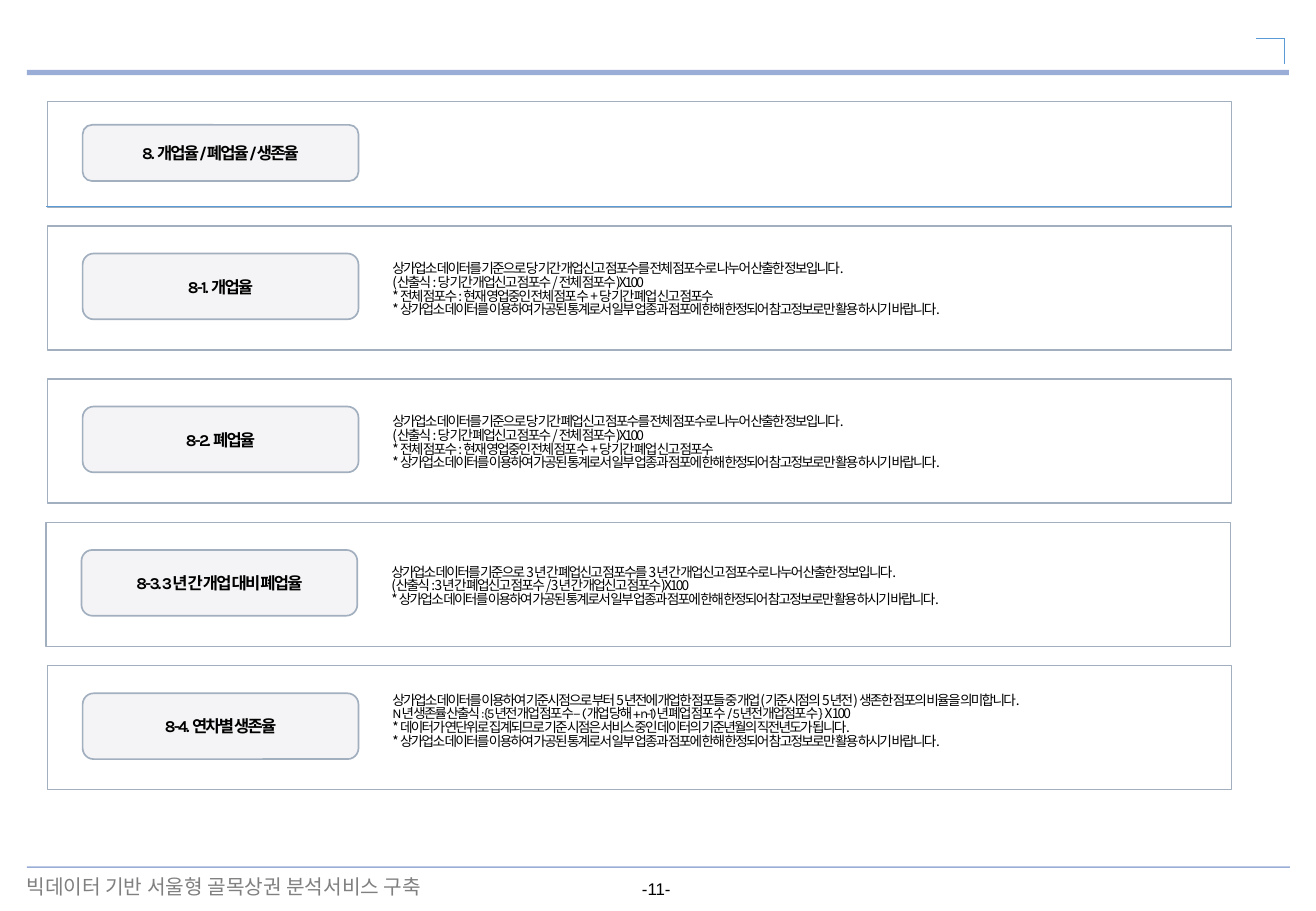
from dataclasses import dataclass

from pptx import Presentation
from pptx import util as u
from pptx.dml import color
from pptx.enum import shapes, text
from pptx.oxml import xmlchemy
from pptx.oxml import ns

Pt = u.Pt


@dataclass(frozen=True)
class Theme:
    ink: str = "000000"
    muted: str = "808080"
    rule: str = "003399"
    accent: str = "5B9BD5"
    border: str = "A2AFBF"
    label_fill: str = "F4F4F6"
    label_font: str = "Karla"
    body_font: str = "Noto Sans CJK KR"
    number_font: str = "Arial"
    label_size: float = 9.8
    body_size: float = 8.1
    formula_size: float = 8
    footer_size: float = 12
    number_size: float = 10
    tracking: float = -1.1
    body_leading: float = 0.83


def add_child(parent, tag, **attributes):
    child = xmlchemy.OxmlElement(tag)
    for name, value in attributes.items():
        child.set(name, str(value))
    parent.append(child)
    return child


def write_text(paragraph, content, *, font, size, ink, bold=False, tracking=0):
    run = paragraph.add_run()
    run.text = content
    run.font.name = font
    run.font.size = Pt(size)
    run.font.bold = bold
    run.font.color.rgb = color.RGBColor.from_string(ink)
    properties = run.font._element
    properties.set("spc", str(round(tracking * 100)))
    add_child(properties, "a:ea", typeface=Theme.body_font)


class SlideBuilder:
    def __init__(self, slide, theme):
        self.slide = slide
        self.theme = theme

    def place(self, shape, left, top, width, height):
        shape.left, shape.top = Pt(left), Pt(top)
        shape.width, shape.height = Pt(width), Pt(height)
        self.slide.shapes._spTree.append(shape._element)

    def line(self, start, end, ink, weight, opacity=100):
        connector = self.slide.shapes.add_connector(
            shapes.MSO_CONNECTOR.STRAIGHT, *map(Pt, start + end))
        connector.line.color.rgb = color.RGBColor.from_string(ink)
        connector.line.width = Pt(weight)
        if opacity < 100:
            fill = connector._element.spPr.find(".//" + ns.qn("a:srgbClr"))
            add_child(fill, "a:alpha", val=opacity * 1000)
        add_child(connector._element.spPr, "a:effectLst")

    def box(self, kind, left, top, width, height, weight, fill=None):
        shape = self.slide.shapes.add_shape(
            kind, *map(Pt, (left, top, width, height)))
        shape.shadow.inherit = False
        if fill:
            shape.fill.solid()
            shape.fill.fore_color.rgb = color.RGBColor.from_string(fill)
        else:
            shape.fill.background()
        shape.line.color.rgb = color.RGBColor.from_string(self.theme.border)
        shape.line.width = Pt(weight)
        return shape

    def card(self, left, top, width, height):
        self.box(shapes.MSO_SHAPE.RECTANGLE, left, top, width, height, 0.75)

    def label(self, content, left, top, width, height, title=None):
        theme = self.theme
        shape = self.box(shapes.MSO_SHAPE.ROUNDED_RECTANGLE,
                         left, top, width, height, 1, theme.label_fill)
        if title is not None:
            self.place(title, left, top, width, height)
            shape = title
        frame = shape.text_frame
        frame.auto_size = text.MSO_AUTO_SIZE.NONE
        frame.word_wrap = False
        frame.vertical_anchor = text.MSO_ANCHOR.MIDDLE
        paragraph = frame.paragraphs[0]
        paragraph.alignment = text.PP_ALIGN.CENTER
        write_text(paragraph, content, font=theme.label_font,
                   size=theme.label_size, ink=theme.ink, bold=True,
                   tracking=theme.tracking)

    def body(self, placeholder, lines, left, top, width, height):
        theme = self.theme
        self.place(placeholder, left, top, width, height)
        frame = placeholder.text_frame
        frame.auto_size = text.MSO_AUTO_SIZE.NONE
        frame.word_wrap = True
        frame.vertical_anchor = text.MSO_ANCHOR.MIDDLE
        frame.margin_left, frame.margin_right = Pt(0), Pt(5.8)
        frame.margin_top, frame.margin_bottom = Pt(5.8), Pt(2.9)
        for index, runs in enumerate(lines):
            paragraph = frame.add_paragraph() if index else frame.paragraphs[0]
            paragraph.alignment = text.PP_ALIGN.LEFT
            paragraph.line_spacing = theme.body_leading
            paragraph.space_before = paragraph.space_after = Pt(0)
            properties = paragraph._p.get_or_add_pPr()
            properties.set("marL", "0")
            properties.set("indent", "0")
            add_child(properties, "a:buNone")
            if isinstance(runs, str):
                runs = [(runs, theme.body_font, theme.body_size)]
            for content, font, size in runs:
                write_text(paragraph, content, font=font, size=size,
                           ink=theme.ink, tracking=theme.tracking)

    def caption(self, content, left, top, width, height, align, **style):
        shape = self.slide.shapes.add_textbox(
            *map(Pt, (left, top, width, height)))
        shape.text_frame.word_wrap = True
        paragraph = shape.text_frame.paragraphs[0]
        paragraph.alignment = align
        write_text(paragraph, content, **style)


theme = Theme()
presentation = Presentation()
presentation.slide_width, presentation.slide_height = Pt(780), Pt(540)
slide = presentation.slides.add_slide(presentation.slide_layouts[4])
builder = SlideBuilder(slide, theme)
title, *bodies = list(slide.placeholders)

NOTICE = ("* 상가업소 데이터를 이용하여 가공된 통계로서 일부 업종과 점포에 "
          "한해 한정되어 참고정보로만 활용 하시기 바랍니다.")


def rate_lines(event):
    return [
        f"상가업소 데이터를 기준으로 당 기간 {event}신고 점포수를 "
        "전체 점포수로 나누어 산출한 정보입니다.",
        f"(산출식 : 당 기간 {event}신고 점포수 / 전체 점포수)X100",
        "* 전체 점포수 : 현재 영업중인 전체 점포 수 + 당 기간 폐업 신고 점포수",
        NOTICE,
    ]


closure_lines = [
    "상가업소 데이터를 기준으로 3년 간 폐업신고 점포수를 "
    "3년 간 개업신고 점포수로 나누어 산출한 정보입니다.",
    "(산출식 : 3년 간 폐업신고 점포수 / 3년 간 개업신고 점포수)X100",
    NOTICE,
]
survival_lines = [
    "상가업소 데이터를 이용하여 기준시점으로 부터 5년전에 개업한 점포들 중 "
    "개업(기준시점의 5년전) 생존한 점포의 비율을 의미합니다.",
    [("N년 생존률 산출식 : {5년전 개업 점포 수 – (개업 당해 + n-1)년 "
      "폐업 점포 수 / 5년전 개업점포 수} ", theme.label_font, theme.formula_size),
     ("X 100", theme.body_font, theme.body_size)],
    "* 데이터가 연단위로 집계되므로 기준 시점은 서비스 중인 데이터의 "
    "기준년월의 직전년도가 됩니다.",
    NOTICE,
]

builder.line((16, 43), (764, 43), theme.rule, 3, 40)
builder.line((16, 514), (764.5, 514), theme.rule, 1, 40)
builder.line((744.5, 22.8), (761.5, 22.8), theme.accent, 0.5)
builder.line((761.3, 22.8), (761.3, 38), theme.accent, 0.5)
builder.caption("빅데이터 기반 서울형 골목상권 분석서비스 구축",
                8.6, 514.6, 287, 22, text.PP_ALIGN.LEFT,
                font=theme.body_font, size=theme.footer_size, ink=theme.muted)
builder.caption("-11-", 372, 517, 34, 19, text.PP_ALIGN.CENTER,
                font=theme.number_font, size=theme.number_size, ink=theme.ink)

builder.card(28, 60.3, 702, 62.5)
builder.label("8. 개업율/폐업율/생존율", 49, 74, 163.5, 33.3, title)
builder.line((27.5, 122.6), (730, 122.6), theme.accent, 0.5)

sections = [
    ("8-1. 개업율", rate_lines("개업"), 28, 134, 0),
    ("8-2. 폐업율", rate_lines("폐업"), 28, 224.7, 0),
    ("8-3. 3년 간 개업 대비 폐업율", closure_lines, 27.3, 309.7, 0),
    ("8-4. 연차별 생존율", survival_lines, 28, 394.7, -5),
]
for body, (name, lines, left, top, lift) in zip(bodies, sections):
    builder.card(left, top, 702, 73.5)
    builder.label(name, left + 21, top + 16.3, 163.5, 39)
    builder.body(body, lines, left + 204.6, top + 6.7 + lift, 497, 59.8)

presentation.save("out.pptx")
